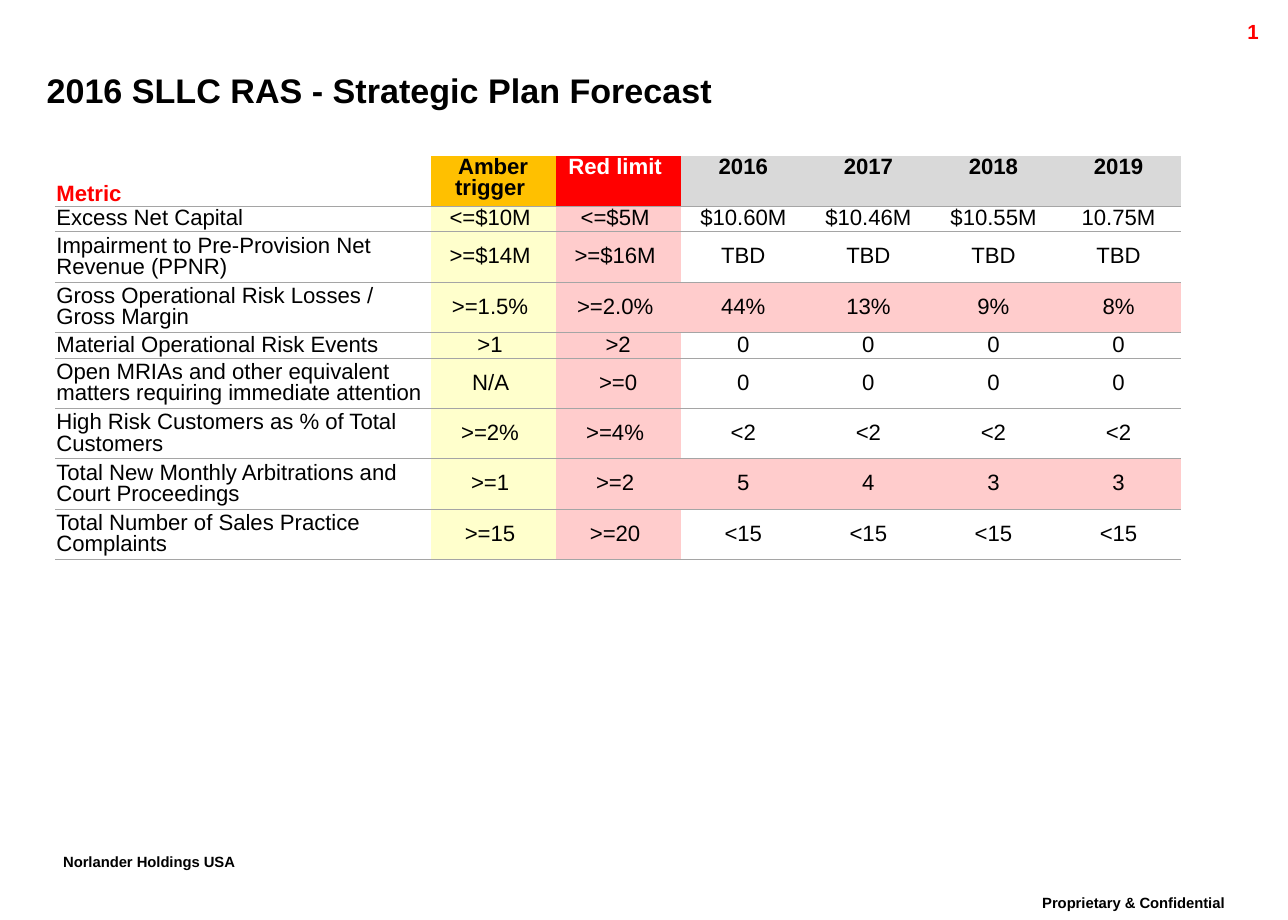
from dataclasses import dataclass

from lxml.etree import SubElement
from pptx import Presentation
from pptx.dml.color import RGBColor
from pptx.enum.text import MSO_ANCHOR, MSO_AUTO_SIZE, PP_ALIGN
from pptx.oxml.ns import qn
from pptx.util import Inches, Pt


@dataclass(frozen=True)
class Theme:
    """Hold the font, type sizes and colours."""
    font: str = "Arial"
    title: int = 20
    cell: int = 13
    page: int = 12
    foot: int = 15
    black: str = "000000"
    white: str = "FFFFFF"
    red: str = "FF0000"
    amber: str = "FFC000"
    gray: str = "D9D9D9"
    cream: str = "FFFFCC"
    pink: str = "FFCCCC"
    rule: str = "A5A5A5"


THEME = Theme()
SPACE = 0.86
HEADS = ["Metric", "Amber trigger ", "Red limit ", "2016", "2017", "2018", "2019"]
HEAD_FILLS = [None, THEME.amber, THEME.red] + [THEME.gray] * 4
HEAD_INKS = [THEME.red, THEME.black, THEME.white] + [THEME.black] * 4
ROWS = [
    ["Excess Net Capital", "<=$10M ", "<=$5M ", "$10.60M", "$10.46M", "$10.55M", "10.75M"],
    ["Impairment to Pre-Provision Net Revenue (PPNR)", ">=$14M ", ">=$16M "] + ["TBD"] * 4,
    ["Gross Operational Risk Losses / Gross Margin", ">=1.5% ", ">=2.0% ", "44%", "13%", "9%", "8%"],
    ["Material Operational Risk Events", ">1 ", ">2"] + ["0"] * 4,
    ["Open MRIAs and other equivalent matters requiring immediate attention", "N/A ", ">=0"] + ["0"] * 4,
    ["High Risk Customers as % of Total Customers", ">=2% ", ">=4% "] + ["<2"] * 4,
    ["Total New Monthly Arbitrations and Court Proceedings", ">=1 ", ">=2 ", "5", "4", "3", "3"],
    ["Total Number of Sales Practice Complaints", ">=15 ", ">=20 "] + ["<15"] * 4,
]
BREACHES = {3, 7}
SHORT_ROWS = {1, 4}


def style(frame, size, color, bold=False, align=PP_ALIGN.LEFT, space=None):
    """Format the only paragraph of a text frame."""
    para = frame.paragraphs[0]
    para.alignment = align
    para.line_spacing = space
    font = para.runs[0].font
    font.name, font.size, font.bold = THEME.font, Pt(size), bold
    font.color.rgb = RGBColor.from_string(color)
    return font


def add_title(slide, text):
    """Fill and place the title."""
    title = slide.shapes.title
    title.left, title.top = Inches(0.38), Inches(0.49)
    title.width, title.height = Inches(9.48), Inches(0.48)
    frame = title.text_frame
    frame.text = text
    frame.margin_left = frame.margin_right = frame.margin_top = frame.margin_bottom = 0
    frame.vertical_anchor = MSO_ANCHOR.MIDDLE
    frame.auto_size = MSO_AUTO_SIZE.NONE
    style(frame, THEME.title, THEME.black, True)


def add_label(slide, text, box, size, color, align, space=None, wrap=True):
    """Add a bold text box and return its font."""
    frame = slide.shapes.add_textbox(*map(Inches, box)).text_frame
    frame.text = text
    frame.word_wrap = wrap
    return style(frame, size, color, True, align, space)


def add_foot(slide, text, box, wrap):
    """Add a raised footer label."""
    font = add_label(slide, text, box, THEME.foot, THEME.black, PP_ALIGN.CENTER, SPACE, wrap)
    font._element.set("baseline", "30000")


def add_rules(cell, top, bottom):
    """Draw the thin rules of a cell and clear its other sides."""
    props = cell._tc.get_or_add_tcPr()
    sides = {"a:lnL": False, "a:lnR": False, "a:lnT": top, "a:lnB": bottom}
    for spot, (tag, shown) in enumerate(sides.items()):
        line = SubElement(props, qn(tag), w=str(Pt(0.5)))
        if shown:
            fill = SubElement(line, qn("a:solidFill"))
            SubElement(fill, qn("a:srgbClr"), val=THEME.rule)
        else:
            SubElement(line, qn("a:noFill"))
        props.insert(spot, line)


def pick_fill(row, col):
    """Return the fill colour of a cell, or None."""
    if row == 0:
        return HEAD_FILLS[col]
    if col == 1:
        return THEME.cream
    if col == 2 or (col > 2 and row in BREACHES):
        return THEME.pink
    return None


def pick_anchor(row, col):
    """Return the vertical anchor of a cell."""
    if row == 0:
        return MSO_ANCHOR.TOP if col else MSO_ANCHOR.BOTTOM
    return MSO_ANCHOR.MIDDLE


def fill_cell(cell, text, row, col):
    """Write and format one table cell."""
    cell.text = text
    cell.margin_left = cell.margin_right = cell.margin_top = Inches(0.01)
    cell.margin_bottom = 0
    cell.vertical_anchor = pick_anchor(row, col)
    color = pick_fill(row, col)
    if color:
        cell.fill.solid()
        cell.fill.fore_color.rgb = RGBColor.from_string(color)
    else:
        cell.fill.background()
    ink = THEME.black if row else HEAD_INKS[col]
    align = PP_ALIGN.CENTER if col else PP_ALIGN.LEFT
    style(cell.text_frame, THEME.cell, ink, row == 0, align, SPACE)
    add_rules(cell, row > 0, True)


def add_grid(slide):
    """Add the table of metrics."""
    lines = [HEADS] + ROWS
    place = map(Inches, (0.45, 1.27, 9.18, 3.29))
    table = slide.shapes.add_table(len(lines), len(HEADS), *place).table
    table.first_row = table.horz_banding = False
    for col, column in enumerate(table.columns):
        column.width = Inches(1.02 if col else 3.06)
    for row, texts in enumerate(lines):
        table.rows[row].height = Inches(0.21 if row in SHORT_ROWS else 0.41)
        for col, text in enumerate(texts):
            fill_cell(table.cell(row, col), text, row, col)


def main():
    """Build and save the slide."""
    deck = Presentation()
    deck.slide_width, deck.slide_height = Inches(10.5), Inches(7.5)
    slide = deck.slides.add_slide(deck.slide_layouts[5])
    add_foot(slide, "Proprietary & Confidential", (8.15, 7.25, 2.18, 0.35), True)
    add_foot(slide, "Norlander Holdings USA", (0.26, 6.91, 1.91, 0.35), False)
    add_label(slide, "1", (9.36, 0.11, 1, 0.24), THEME.page, THEME.red, PP_ALIGN.RIGHT)
    add_title(slide, "2016 SLLC RAS - Strategic Plan Forecast")
    add_grid(slide)
    deck.save("out.pptx")


if __name__ == "__main__":
    main()
